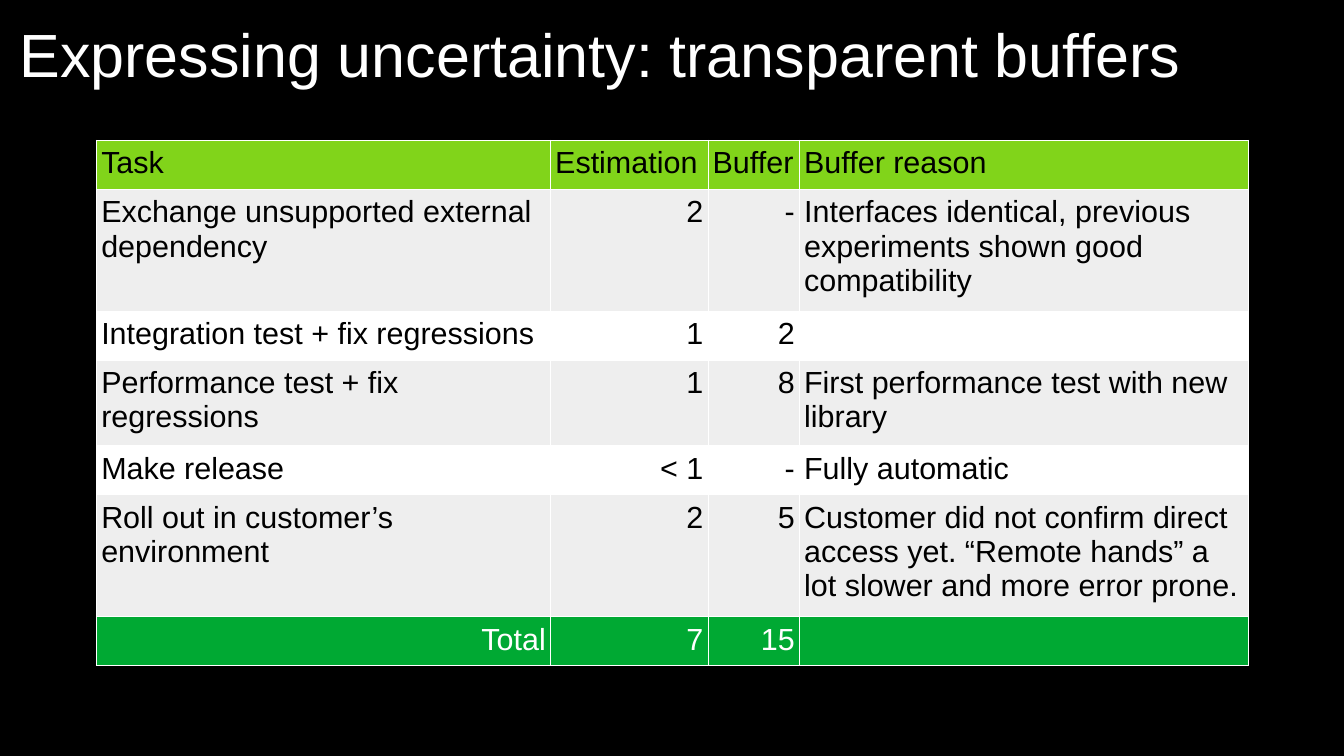
from lxml.etree import SubElement
from pptx import Presentation
from pptx.dml.color import RGBColor
from pptx.enum.text import MSO_ANCHOR as Anchor, PP_ALIGN as Align
from pptx.oxml.ns import qn
from pptx.util import Pt

COLORS = {
    "background": "000000", "light": "FFFFFF", "dark": "000000",
    "header": "81D41A", "odd": "EEEEEE", "even": "FFFFFF", "total": "00A933",
}
FONT = "Arial"
COLUMN_WIDTHS = [268, 93, 54, 265]
LINE_COUNTS = [1, 3, 1, 2, 1, 3, 1]
ROWS = [
    ["Task", "Estimation", "Buffer", "Buffer reason"],
    ["Exchange unsupported external dependency", "2", "-",
     "Interfaces identical, previous experiments shown good compatibility"],
    ["Integration test + fix regressions", "1", "2", ""],
    ["Performance test + fix regressions", "1", "8",
     "First performance test with new library"],
    ["Make release", "< 1", "-", "Fully automatic"],
    ["Roll out in customer’s environment", "2", "5",
     "Customer did not confirm direct access yet. “Remote hands” a lot slower "
     "and more error prone."],
    ["Total", "7", "15", ""],
]


def color(name):
    """Return the named colour."""
    return RGBColor.from_string(COLORS[name])


def set_text(text_frame, text, size, color_name, alignment=Align.LEFT):
    """Write one formatted paragraph."""
    text_frame.text = text
    paragraph = text_frame.paragraphs[0]
    paragraph.alignment = alignment
    font = paragraph.font
    if paragraph.runs:
        font = paragraph.runs[0].font
    font.name, font.size, font.bold = FONT, Pt(size), False
    font.color.rgb = color(color_name)


def add_title(slide, text):
    """Add the slide title."""
    text_frame = slide.shapes.add_textbox(Pt(11.5), Pt(6), Pt(751), Pt(51)).text_frame
    text_frame.word_wrap = True
    text_frame.vertical_anchor = Anchor.MIDDLE
    text_frame.margin_left = text_frame.margin_right = 0
    text_frame.margin_top = text_frame.margin_bottom = 0
    set_text(text_frame, text, 36, "light")


def add_borders(cell):
    """Draw thin light lines on all sides of a cell."""
    properties = cell._tc.get_or_add_tcPr()
    for position, side in enumerate(("a:lnL", "a:lnR", "a:lnT", "a:lnB")):
        line = properties.makeelement(qn(side), {"w": str(Pt(0.57))})
        fill = SubElement(line, qn("a:solidFill"))
        SubElement(fill, qn("a:srgbClr"), val=COLORS["light"])
        properties.insert(position, line)


def format_cell(cell, text, fill_name, alignment):
    """Fill, border and label one cell."""
    cell.margin_left = cell.margin_right = Pt(2.8)
    cell.margin_top = cell.margin_bottom = Pt(3.6)
    cell.fill.solid()
    cell.fill.fore_color.rgb = color(fill_name)
    add_borders(cell)
    text_color = "light" if fill_name == "total" else "dark"
    set_text(cell.text_frame, text, 18, text_color, alignment)


def add_estimate_table(slide):
    """Add the table of tasks, estimations and buffers."""
    heights = [28.9 + 21.35 * (count - 1) for count in LINE_COUNTS]
    table = slide.shapes.add_table(
        len(ROWS), len(COLUMN_WIDTHS), Pt(57), Pt(82.8),
        Pt(sum(COLUMN_WIDTHS)), Pt(sum(heights))).table
    for column, width in zip(table.columns, COLUMN_WIDTHS):
        column.width = Pt(width)
    last = len(ROWS) - 1
    for i, texts in enumerate(ROWS):
        table.rows[i].height = Pt(heights[i])
        fill_name = {0: "header", last: "total"}.get(i, "odd" if i % 2 else "even")
        for j, text in enumerate(texts):
            is_right = (i > 0 and j in (1, 2)) or (i == last and j == 0)
            alignment = Align.RIGHT if is_right else Align.LEFT
            format_cell(table.cell(i, j), text, fill_name, alignment)


def main():
    """Build and save the slide."""
    presentation = Presentation()
    presentation.slide_width, presentation.slide_height = Pt(793.44), Pt(446.4)
    slide = presentation.slides.add_slide(presentation.slide_layouts[6])
    slide.background.fill.solid()
    slide.background.fill.fore_color.rgb = color("background")
    add_title(slide, "Expressing uncertainty: transparent buffers")
    add_estimate_table(slide)
    presentation.save("out.pptx")


if __name__ == "__main__":
    main()
